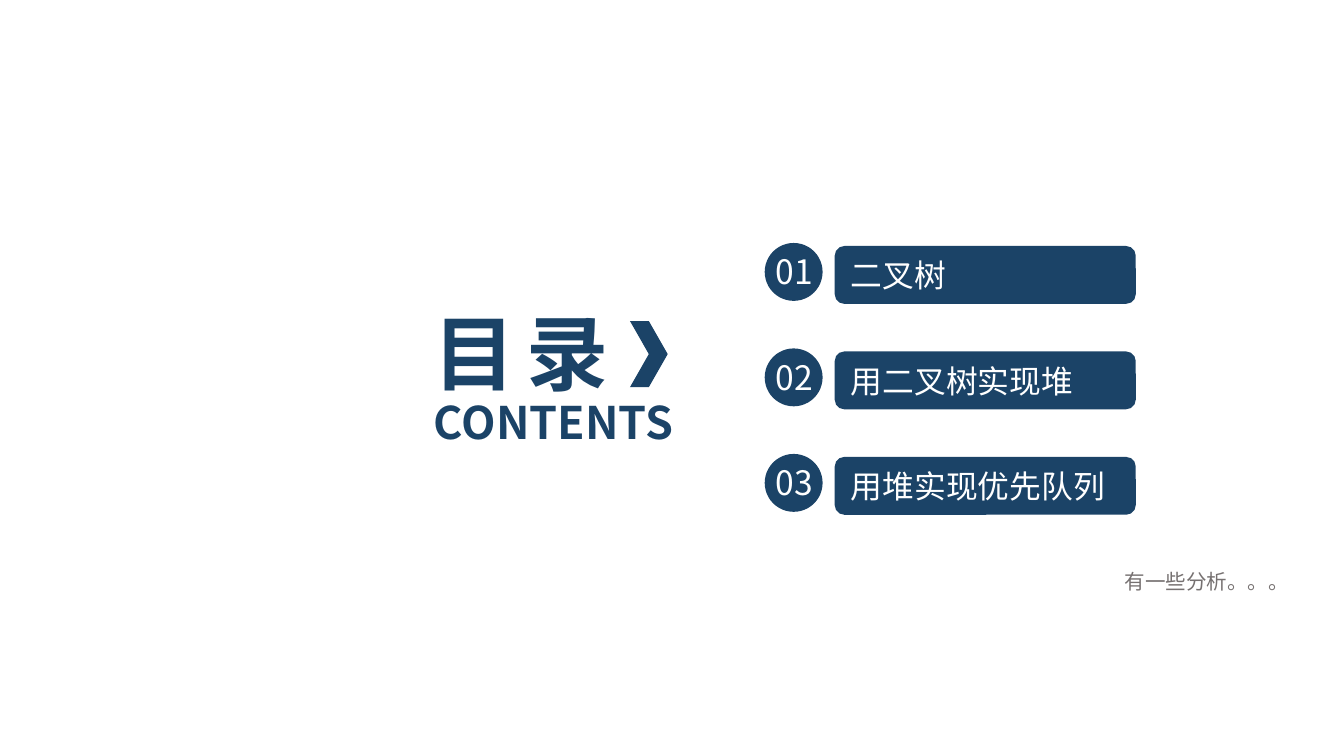
from typing import NamedTuple

from lxml.etree import SubElement
from pptx import Presentation
from pptx.dml.color import RGBColor
from pptx.enum.shapes import MSO_SHAPE
from pptx.enum.text import MSO_ANCHOR, PP_ALIGN
from pptx.oxml.ns import qn
from pptx.util import Pt

NAVY = RGBColor(0x1B, 0x43, 0x67)
WHITE = RGBColor(0xFF, 0xFF, 0xFF)
GRAY = RGBColor(0x76, 0x71, 0x71)
FONT = "Noto Sans CJK SC"

FIRST_TOP = 130.2
PITCH = 56.5
SIDE = 31


class Area(NamedTuple):
    left: float
    top: float
    width: float
    height: float


class Entry(NamedTuple):
    number: str
    title: str


ENTRIES = [
    Entry("01", "二叉树"),
    Entry("02", "用二叉树实现堆"),
    Entry("03", "用堆实现优先队列"),
]


def write(shape, text: str, *, size: float, color: RGBColor, bold: bool = False,
          align: PP_ALIGN = PP_ALIGN.LEFT, spacing: float = 0, wrap: bool = True) -> None:
    frame = shape.text_frame
    frame.word_wrap = wrap
    frame.vertical_anchor = MSO_ANCHOR.MIDDLE
    para = frame.paragraphs[0]
    para.alignment = align
    span = para.add_run()
    span.text = text
    span.font.size = Pt(size)
    span.font.bold = bold
    span.font.color.rgb = color
    span.font.name = FONT
    properties = span.font._element if hasattr(span.font, "_element") else span._r.get_or_add_rPr()
    SubElement(properties, qn("a:ea")).set("typeface", FONT)
    if spacing:
        properties.set("spc", str(round(spacing * 100)))


def add_solid(shapes, kind: MSO_SHAPE, area: Area):
    shape = shapes.add_shape(kind, *map(Pt, area))
    shape.shadow.inherit = False
    shape.fill.solid()
    shape.fill.fore_color.rgb = NAVY
    shape.line.fill.background()
    return shape


def add_label(shapes, area: Area, text: str, **text_format) -> None:
    box = shapes.add_textbox(*map(Pt, area))
    write(box, text, **text_format)


def add_entry(page, entry: Entry, top: float) -> None:
    bar = add_solid(page.shapes, MSO_SHAPE.ROUNDED_RECTANGLE,
                    Area(447.2, top + 1.6, 161.3, SIDE))
    write(bar, entry.title, size=17, color=WHITE)
    badge = page.shapes.add_group_shape()
    add_solid(badge.shapes, MSO_SHAPE.OVAL, Area(409.7, top, SIDE, SIDE))
    add_label(badge.shapes, Area(406.8, top + 0.8, 37.4, 28.8), entry.number,
              size=18, color=WHITE, align=PP_ALIGN.CENTER)


def main() -> None:
    deck = Presentation()
    deck.slide_width, deck.slide_height = Pt(720), Pt(405)
    page = deck.slides.add_slide(deck.slide_layouts[6])
    page.background.fill.solid()
    page.background.fill.fore_color.rgb = WHITE

    add_label(page.shapes, Area(225.4, 158.4, 169.2, 60.5), "目 录",
              size=44, color=NAVY, bold=True, spacing=-2.2)
    add_label(page.shapes, Area(225.4, 208, 166.3, 36), "CONTENTS",
              size=24, color=NAVY, bold=True)
    add_solid(page.shapes, MSO_SHAPE.CHEVRON, Area(337.5, 172, 20.2, 35.4))

    for index, entry in enumerate(ENTRIES):
        add_entry(page, entry, FIRST_TOP + index * PITCH)

    add_label(page.shapes, Area(595.4, 301, 105.1, 20.9), "有一些分析。。。",
              size=11, color=GRAY, wrap=False)
    deck.save("out.pptx")


if __name__ == "__main__":
    main()
